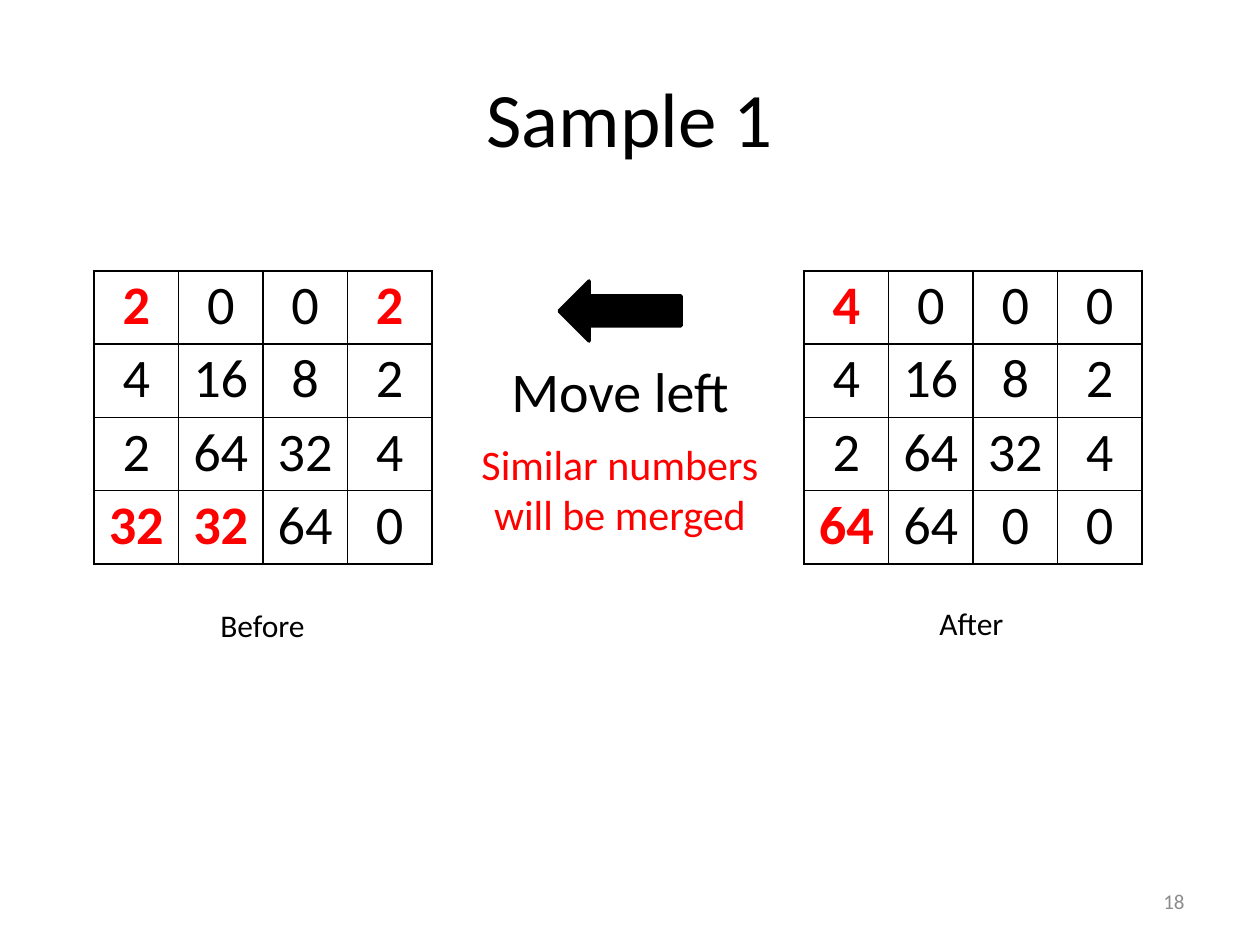
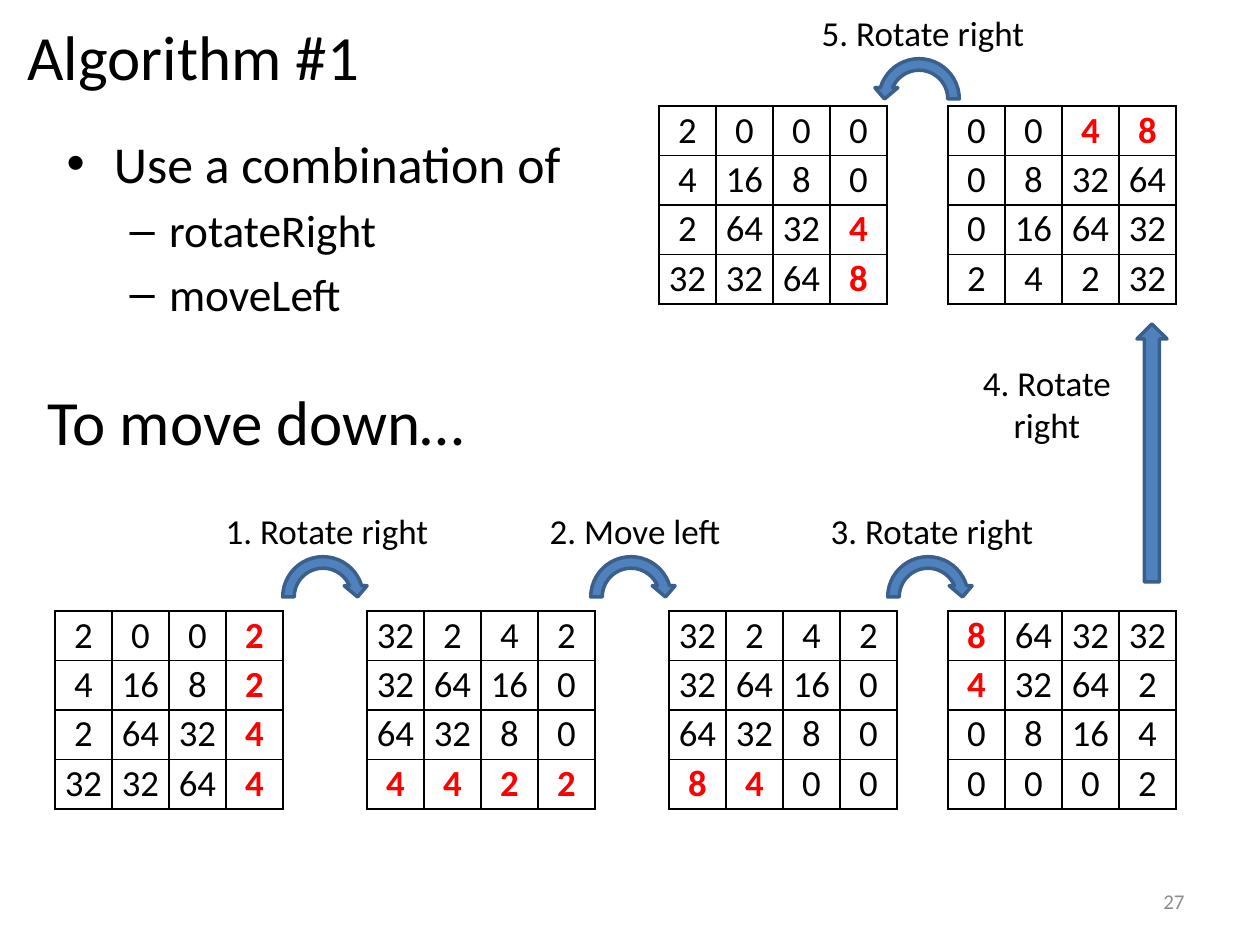
import pptx
import pptx.dml.color
import pptx.enum.shapes
import pptx.enum.text
import pptx.oxml
import pptx.oxml.ns
import pptx.util

PX = 914400 / 126
FONT = "Calibri"
COLOURS = {
    "text": "000000",
    "highlight": "FF0000",
    "number": "8C8C8C",
    "arrow": "4F81BD",
    "arrow edge": "3A5F8C",
}
COLOURS_RGB = {name: pptx.dml.color.RGBColor.from_string(value) for name, value in COLOURS.items()}
SHAPE = pptx.enum.shapes.MSO_SHAPE
ALIGN = pptx.enum.text.PP_ALIGN
MIDDLE = pptx.enum.text.MSO_ANCHOR.MIDDLE
BORDER = (
    '<a:{side} %s w="12700"><a:solidFill><a:srgbClr val="{colour}"/></a:solidFill></a:{side}>'
    % pptx.oxml.ns.nsdecls("a")
)


def place(shape, left, top, width, height):
    """Set the bounds of a shape in px."""
    shape.left, shape.top = round(left * PX), round(top * PX)
    shape.width, shape.height = round(width * PX), round(height * PX)


def write(frame, text, size, colour="text", align=ALIGN.CENTER, bold=False):
    """Fill a text frame with one paragraph in the deck's font."""
    frame.word_wrap = True
    frame.auto_size = pptx.enum.text.MSO_AUTO_SIZE.NONE
    para = frame.paragraphs[0]
    para.text = text
    para.alignment = align
    span = para.runs[0]
    span.font.name = FONT
    span.font.size = pptx.util.Pt(size)
    span.font.bold = bold
    span.font.color.rgb = COLOURS_RGB[colour]


deck = pptx.Presentation()
deck.slide_width, deck.slide_height = pptx.util.Inches(10), pptx.util.Inches(7.5)
sample = deck.slides.add_slide(deck.slide_layouts[5])
algorithm = deck.slides.add_slide(deck.slide_layouts[1])

# Titles
for page, text, size, align, bounds in (
    (sample, "Sample 1", 44, ALIGN.CENTER, (63, 38, 1134, 158)),
    (algorithm, "Algorithm #1", 36, ALIGN.LEFT, (15, 11, 1245, 89)),
):
    title = page.shapes.title
    place(title, *bounds)
    write(title.text_frame, text, size, align=align)
    title.text_frame.vertical_anchor = MIDDLE

# Bullets
body = algorithm.placeholders[1]
place(body, 54, 125, 529, 248)
body.text_frame.text = "Use a combination of\nrotateRight\nmoveLeft"
body.text_frame.auto_size = pptx.enum.text.MSO_AUTO_SIZE.NONE
for index, para in enumerate(body.text_frame.paragraphs):
    para.level = 1 if index else 0
    if index == 0:
        para.space_before = pptx.util.Pt(0)
    span = para.runs[0]
    span.font.name = FONT
    span.font.size = pptx.util.Pt(25.9 if index else 29.6)
    span.font.color.rgb = COLOURS_RGB["text"]

# Number grids: a star marks a highlighted number
LARGE = {"width": 338, "height": 293, "size": 31, "margin": 6}
SMALL = {"width": 228, "height": 198, "size": 21, "margin": 4}
grids = (
    (sample, LARGE, 94, 271, ("2* 0 0 2*", "4 16 8 2", "2 64 32 4", "32* 32* 64 0")),
    (sample, LARGE, 804, 271, ("4* 0 0 0", "4 16 8 2", "2 64 32 4", "64* 64 0 0")),
    (algorithm, SMALL, 55, 611, ("2 0 0 2*", "4 16 8 2*", "2 64 32 4*", "32 32 64 4*")),
    (algorithm, SMALL, 367, 611, ("32 2 4 2", "32 64 16 0", "64 32 8 0", "4* 4* 2* 2*")),
    (algorithm, SMALL, 669, 611, ("32 2 4 2", "32 64 16 0", "64 32 8 0", "8* 4* 0 0")),
    (algorithm, SMALL, 948, 611, ("8* 64 32 32", "4* 32 64 2", "0 8 16 4", "0 0 0 2")),
    (algorithm, SMALL, 948, 106, ("0 0 4* 8*", "0 8 32 64", "0 16 64 32", "2 4 2 32")),
    (algorithm, SMALL, 659, 106, ("2 0 0 0", "4 16 8 0", "2 64 32 4*", "32 32 64 8*")),
)
for page, style, left, top, rows in grids:
    bounds = [round(length * PX) for length in (left, top, style["width"], style["height"])]
    table = page.shapes.add_table(4, 4, *bounds).table
    table.first_row = table.horz_banding = False
    for row_index, row in enumerate(rows):
        for column_index, number in enumerate(row.split()):
            cell = table.cell(row_index, column_index)
            marked = number.endswith("*")
            cell.margin_left = cell.margin_right = round(style["margin"] * PX)
            cell.margin_top = cell.margin_bottom = round(2 * PX)
            para = cell.text_frame.paragraphs[0]
            para.text = number.rstrip("*")
            para.alignment = ALIGN.CENTER
            font = para.runs[0].font
            font.name, font.size, font.bold = FONT, pptx.util.Pt(style["size"]), marked
            font.color.rgb = COLOURS_RGB["highlight" if marked else "text"]
            properties = cell._tc.get_or_add_tcPr()
            for side in ("lnL", "lnR", "lnT", "lnB"):
                border = BORDER.format(side=side, colour=COLOURS["text"])
                properties.append(pptx.oxml.parse_xml(border))
            cell.fill.background()

# Labels and page numbers
labels = [
    (sample, "Move left", 32, "text", ALIGN.CENTER, (486, 350, 268, 81)),
    (sample, "Similar numbers will be merged", 24, "highlight", ALIGN.CENTER, (451, 432, 338, 115)),
    (sample, "Before", 18, "text", ALIGN.CENTER, (119, 600, 287, 50)),
    (sample, "After", 18, "text", ALIGN.CENTER, (828, 598, 287, 50)),
    (algorithm, "To move down…", 36, "text", ALIGN.LEFT, (35, 376, 576, 89)),
    (algorithm, "4. Rotate right", 20, "text", ALIGN.CENTER, (948, 355, 198, 97)),
    (sample, "18", 12, "number", ALIGN.RIGHT, (903, 876, 294, 50)),
    (algorithm, "27", 12, "number", ALIGN.RIGHT, (903, 876, 294, 50)),
]
arrows = [
    (sample, SHAPE.LEFT_ARROW, "text", "text", False, (559, 281, 122, 60)),
    (algorithm, SHAPE.UP_ARROW, "arrow", "arrow edge", False, (1137, 324, 30, 258)),
]

# Each curved step has its label above its arrow
for text, left, top, mirrored in (
    ("1. Rotate right", 203, 503, False),
    ("2. Move left", 511, 503, False),
    ("3. Rotate right", 808, 503, False),
    ("5. Rotate right", 799, 5, True),
):
    labels.append((algorithm, text, 20, "text", ALIGN.CENTER, (left, top, 248, 55)))
    arrows.append(
        (algorithm, SHAPE.CIRCULAR_ARROW, "arrow", "arrow edge", mirrored, (left + 74, top + 48, 92, 92))
    )

for page, text, size, colour, align, bounds in labels:
    box = page.shapes.add_textbox(0, 0, 0, 0)
    place(box, *bounds)
    write(box.text_frame, text, size, colour, align)
    if colour == "number":
        box.text_frame.vertical_anchor = MIDDLE

for page, kind, fill, edge, mirrored, bounds in arrows:
    arrow = page.shapes.add_shape(kind, 0, 0, 0, 0)
    place(arrow, *bounds)
    arrow.shadow.inherit = False
    arrow.fill.solid()
    arrow.fill.fore_color.rgb = COLOURS_RGB[fill]
    arrow.line.color.rgb = COLOURS_RGB[edge]
    arrow.line.width = pptx.util.Pt(2)
    if mirrored:
        arrow._element.spPr.xfrm.set("flipH", "1")

deck.save("out.pptx")
